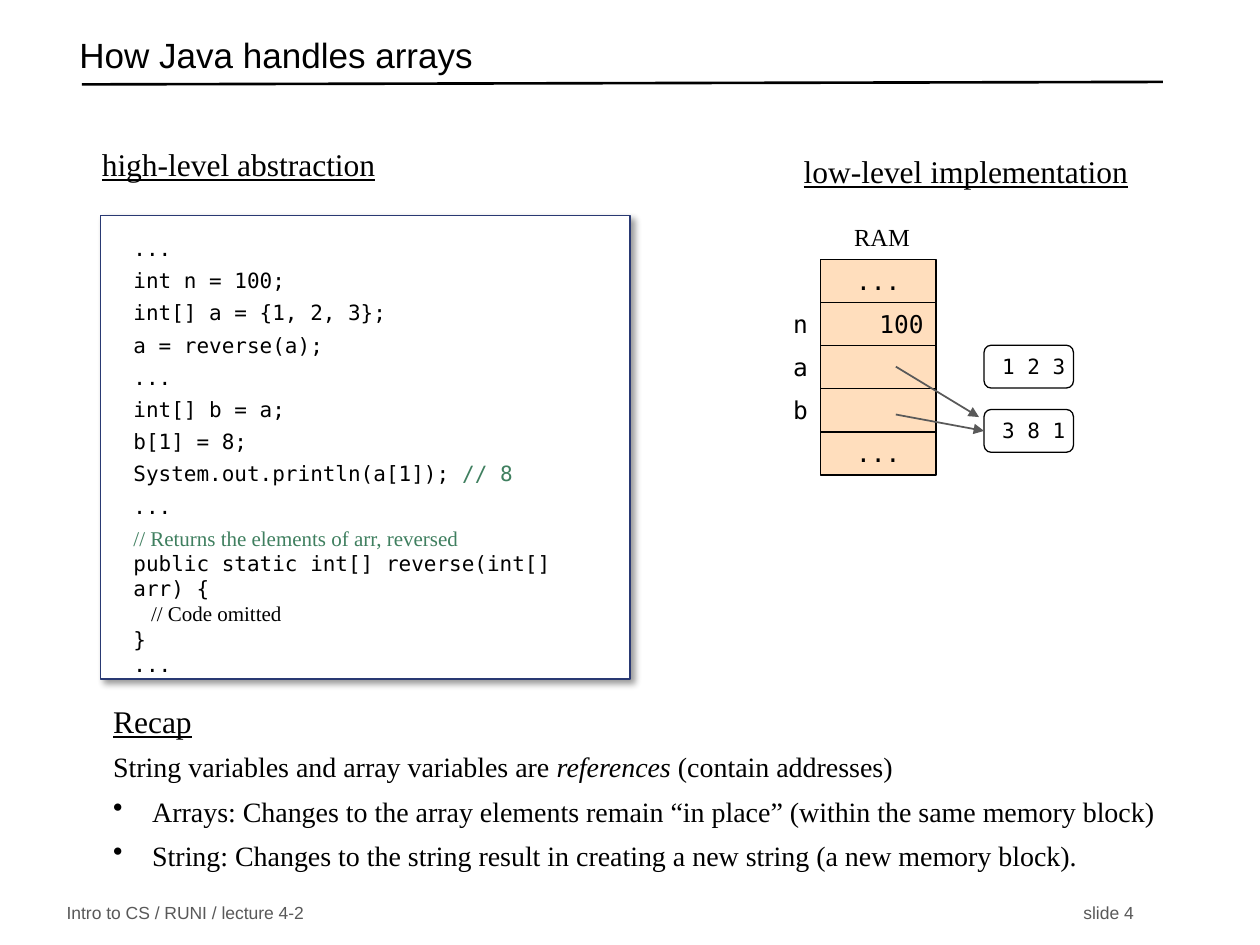
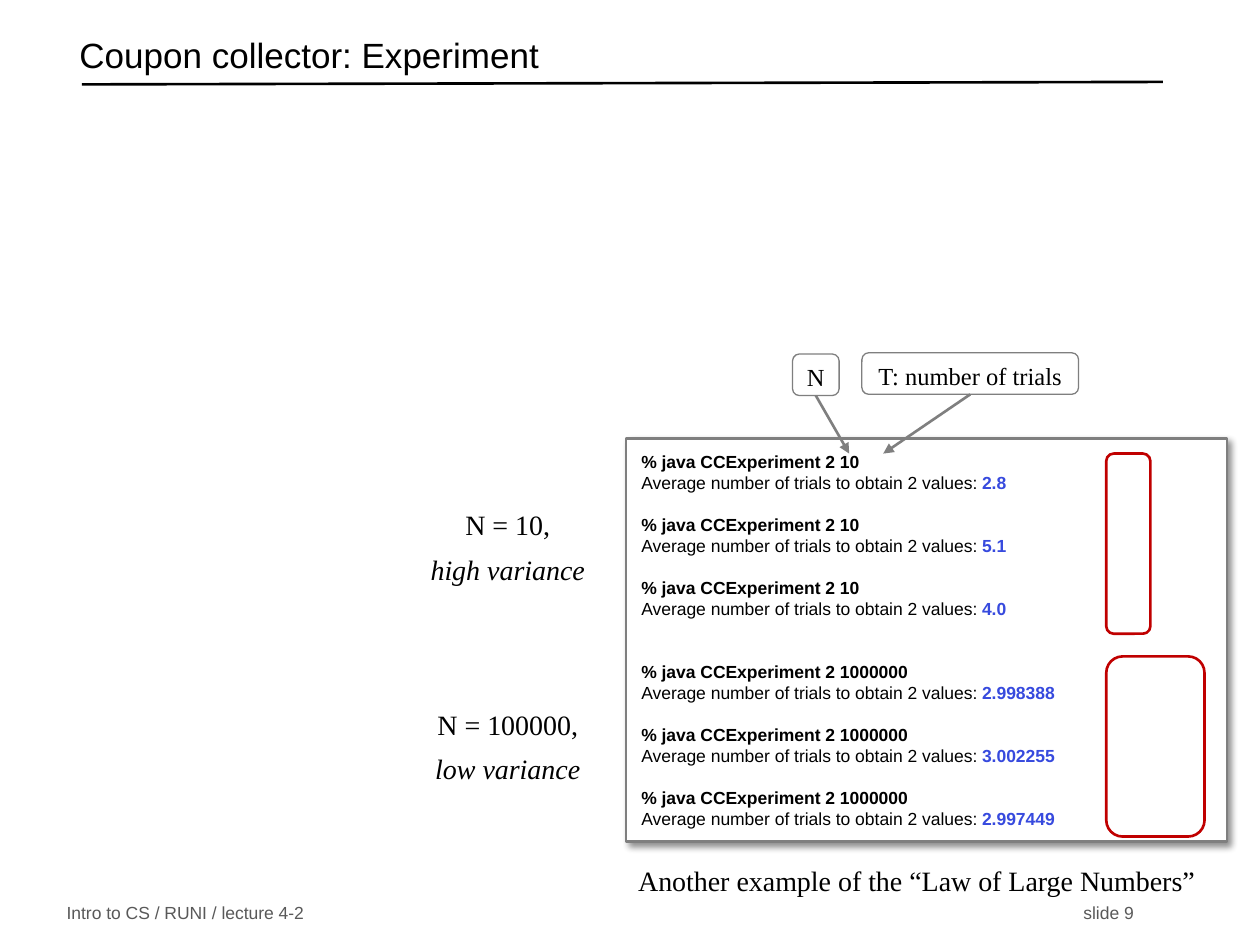
from dataclasses import dataclass, replace
from typing import Optional

from lxml.etree import SubElement
from pptx import Presentation
from pptx.dml.color import RGBColor
from pptx.enum.shapes import MSO_CONNECTOR, MSO_SHAPE
from pptx.enum.text import MSO_ANCHOR, MSO_AUTO_SIZE, PP_ALIGN
from pptx.oxml.ns import qn
from pptx.util import Inches, Pt

# Grid: 100 columns by 75 rows
SLIDE_WIDTH, SLIDE_HEIGHT = Inches(10), Inches(7.5)
COLUMN, ROW = SLIDE_WIDTH // 100, SLIDE_HEIGHT // 75

BLACK = RGBColor(0x00, 0x00, 0x00)
WHITE = RGBColor(0xFF, 0xFF, 0xFF)
DARK_GRAY = RGBColor(0x59, 0x59, 0x59)
MID_GRAY = RGBColor(0x7F, 0x7F, 0x7F)
PEACH = RGBColor(0xFF, 0xDE, 0xBD)
NAVY = RGBColor(0x29, 0x39, 0x73)
GREEN = RGBColor(0x3F, 0x7F, 0x5F)
BLUE = RGBColor(0x37, 0x4A, 0xDE)
RED = RGBColor(0xC0, 0x00, 0x00)

SANS, SERIF, MONO = "Arial", "Times New Roman", "DejaVu Sans Mono"
COURSE = "Intro to CS / RUNI / lecture 4-2"


@dataclass(frozen=True)
class Area:
    """A place on the grid, in columns and rows."""
    left: float
    top: float
    width: float
    height: float

    def lengths(self) -> tuple:
        return (round(self.left * COLUMN), round(self.top * ROW),
                round(self.width * COLUMN), round(self.height * ROW))


@dataclass(frozen=True)
class Style:
    font: str
    size: float
    color: RGBColor = BLACK
    bold: bool = False
    italic: bool = False
    underline: bool = False


@dataclass(frozen=True)
class Span:
    text: str
    style: Style


@dataclass(frozen=True)
class Para:
    spans: tuple
    before: float = 0
    align: PP_ALIGN = PP_ALIGN.LEFT
    bullet: bool = False


@dataclass(frozen=True)
class Look:
    fill: Optional[RGBColor]
    line: RGBColor
    weight: float = 0.75
    shadow_percent: int = 0


@dataclass(frozen=True)
class Frame:
    """Insets (left, top, right, bottom) in grid units, and the anchor."""
    insets: tuple = (1, 0.5, 1, 0.5)
    anchor: MSO_ANCHOR = MSO_ANCHOR.TOP


TITLE = Style(SANS, 20)
FOOTER = Style(SANS, 10, DARK_GRAY)
HEADING = Style(SERIF, 18, underline=True)
BODY = Style(SERIF, 16)
BODY_ITALIC = replace(BODY, italic=True)
LABEL = Style(SERIF, 14)
MEMORY = Style(MONO, 14)
CODE = Style(MONO, 12)
COMMENT = Style(SERIF, 12, GREEN)
OUTPUT = Style(SANS, 10)
COMMAND = replace(OUTPUT, bold=True)
RESULT = replace(COMMAND, color=BLUE)

PLAIN = Frame()
MIDDLE = Frame(anchor=MSO_ANCHOR.MIDDLE)
NARROW = Frame((0.8, 0.5, 0, 0.5))
REMARK = replace(NARROW, anchor=MSO_ANCHOR.MIDDLE)


def line_of(text: str, style: Style, before: float = 0,
            align: PP_ALIGN = PP_ALIGN.LEFT, bullet: bool = False) -> Para:
    return Para((Span(text, style),), before, align, bullet)


def centered(text: str, style: Style, before: float = 0) -> Para:
    return line_of(text, style, before, PP_ALIGN.CENTER)


def add_bullet(para) -> None:
    properties = para._p.get_or_add_pPr()
    properties.set("marL", str(Inches(0.31)))
    properties.set("indent", str(-Inches(0.31)))
    color = SubElement(properties, qn("a:buClr"))
    SubElement(color, qn("a:srgbClr"), val=str(BLACK))
    SubElement(properties, qn("a:buChar"), char="•")


def write(box, paras: list, frame: Frame = PLAIN) -> None:
    text = box.text_frame
    text.word_wrap = True
    text.auto_size = MSO_AUTO_SIZE.NONE
    text.vertical_anchor = frame.anchor
    left, top, right, bottom = frame.insets
    text.margin_left, text.margin_right = round(left * COLUMN), round(right * COLUMN)
    text.margin_top, text.margin_bottom = round(top * ROW), round(bottom * ROW)
    for index, item in enumerate(paras):
        para = text.add_paragraph() if index else text.paragraphs[0]
        if item.bullet:
            add_bullet(para)
        para.alignment = item.align
        para.space_before = Pt(item.before)
        for span in item.spans:
            run = para.add_run()
            run.text = span.text
            font, style = run.font, span.style
            font.name, font.size = style.font, Pt(style.size)
            font.color.rgb = style.color
            font.bold, font.italic = style.bold, style.italic
            font.underline = style.underline


def add_text(page, area: Area, paras: list, frame: Frame = PLAIN):
    box = page.shapes.add_textbox(*area.lengths())
    write(box, paras, frame)
    return box


def add_box(page, kind: MSO_SHAPE, area: Area, look: Look,
            paras: list = (), frame: Frame = PLAIN):
    box = page.shapes.add_shape(kind, *area.lengths())
    box.shadow.inherit = False
    if look.fill is None:
        box.fill.background()
    else:
        box.fill.solid()
        box.fill.fore_color.rgb = look.fill
    box.line.color.rgb = look.line
    box.line.width = Pt(look.weight)
    if look.shadow_percent:
        effects = box._element.spPr.find(qn("a:effectLst"))
        shadow = SubElement(effects, qn("a:outerShdw"), blurRad=str(Pt(4)),
                            dist=str(Pt(3)), dir="2700000", algn="tl", rotWithShape="0")
        color = SubElement(shadow, qn("a:srgbClr"), val=str(BLACK))
        SubElement(color, qn("a:alpha"), val=str(look.shadow_percent * 1000))
    if paras:
        write(box, paras, frame)
    return box


def add_line(page, start: tuple, end: tuple, color: RGBColor,
             weight: float, arrow: bool = True):
    connector = page.shapes.add_connector(
        MSO_CONNECTOR.STRAIGHT, round(start[0] * COLUMN), round(start[1] * ROW),
        round(end[0] * COLUMN), round(end[1] * ROW))
    connector.line.color.rgb = color
    connector.line.width = Pt(weight)
    if arrow:
        SubElement(connector.line._get_or_add_ln(), qn("a:tailEnd"), type="triangle")
    SubElement(connector._element.spPr, qn("a:effectLst"))
    return connector


def add_page(deck, title: str, number: int):
    """Title, rule and footer shared by every slide."""
    page = deck.slides.add_slide(deck.slide_layouts[5])
    heading = page.shapes.title
    heading.left, heading.top, heading.width, heading.height = Area(5.3, 2.2, 86, 5).lengths()
    write(heading, [line_of(title, TITLE)], MIDDLE)
    heading.text_frame.paragraphs[0].line_spacing = 0.7
    add_line(page, (6.5, 6.7), (92.3, 6.5), BLACK, 1.5, arrow=False)
    footer = add_text(page, Area(4.3, 71.4, 87.1, 2.1),
                      [line_of(f"{COURSE}\tslide {number}", FOOTER)], MIDDLE)
    tabs = SubElement(footer.text_frame.paragraphs[0]._p.get_or_add_pPr(), qn("a:tabLst"))
    SubElement(tabs, qn("a:tab"), pos=str(round(80.7 * COLUMN)), algn="l")
    return page


def build_arrays(deck) -> None:
    page = add_page(deck, "How Java handles arrays", 4)
    add_text(page, Area(7.1, 11, 25, 4), [line_of("high-level abstraction", HEADING)])
    add_text(page, Area(62.8, 11.6, 34.9, 4), [line_of("low-level implementation", HEADING)])
    add_text(page, Area(66.8, 17.1, 12.5, 4.2), [line_of("RAM", LABEL)])

    # Memory column with variable names
    memory_top, cell_height = 20.6, 3.42
    cells = [("", "...", PP_ALIGN.CENTER), ("n", "100", PP_ALIGN.RIGHT),
             ("a", "", PP_ALIGN.LEFT), ("b", "", PP_ALIGN.LEFT),
             ("", "...", PP_ALIGN.CENTER)]
    for row, (variable, value, align) in enumerate(cells):
        top = memory_top + row * cell_height
        paras = [line_of(value, MEMORY, align=align)] if value else []
        add_box(page, MSO_SHAPE.RECTANGLE, Area(65.1, top, 9.2, cell_height),
                Look(PEACH, BLACK), paras)
        if variable:
            add_text(page, Area(54.3, top, 10.8, 3.3),
                     [line_of(variable, MEMORY, align=PP_ALIGN.RIGHT)])

    # Array blocks and the references to the reversed one
    blocks = [add_box(page, MSO_SHAPE.ROUNDED_RECTANGLE, Area(78.1, top, 7.1, 3.4),
                      Look(WHITE, BLACK), [centered(values, CODE)], NARROW)
              for top, values in ((27.4, "1 2 3"), (32.5, "3 8 1"))]
    add_line(page, (71.1, 29.1), (77.7, 33.1), DARK_GRAY, 1)
    reference = add_line(page, (71.1, 32.9), (78.1, 34.2), DARK_GRAY, 1)
    reference.end_connect(blocks[1], 1)

    # Code listing
    statements = ["...", "int n = 100;", "int[] a = {1, 2, 3};", "a = reverse(a);",
                  "...", "int[] b = a;", "b[1] = 8;"]
    listing = [line_of(text, CODE, 4 if index else 0)
               for index, text in enumerate(statements)]
    listing += [
        Para((Span("System.out.println(a[1]); ", CODE),
              Span("// 8", replace(CODE, color=GREEN))), 4),
        line_of("...", CODE, 4),
        line_of("// Returns the elements of arr, reversed", COMMENT, 4),
        line_of("public static int[] reverse(int[] arr) {", CODE),
        Para((Span("   ", Style(SANS, 12)),
              Span("// Code omitted", replace(COMMENT, color=BLACK)))),
        line_of("}", CODE),
        line_of("...", CODE),
    ]
    add_box(page, MSO_SHAPE.RECTANGLE, Area(8, 17.1, 42, 36.8),
            Look(WHITE, NAVY, shadow_percent=40), listing, Frame((2.6, 1.6, 1.8, 1.9)))

    # Recap
    add_text(page, Area(8, 55.2, 90.4, 16.3), [
        line_of("Recap", HEADING),
        Para((Span("String variables and array variables are ", BODY),
              Span("references ", BODY_ITALIC),
              Span("(contain addresses)", BODY)), 6),
        line_of("Arrays: Changes to the array elements remain “in place” "
                "(within the same memory block)", BODY, 6, bullet=True),
        line_of("String: Changes to the string result in creating a new string "
                "(a new memory block).", BODY, 6, bullet=True),
    ])


def build_experiment(deck) -> None:
    page = add_page(deck, "Coupon collector: Experiment", 9)

    # Console: one blank line between runs, two between the groups
    groups = [("10", ("2.8", "5.1", "4.0")),
              ("1000000", ("2.998388", "3.002255", "2.997449"))]
    console = []
    for trials, averages in groups:
        for index, average in enumerate(averages):
            gap = 0 if not console else 12 if index else 24
            console += [
                line_of(f"% java CCExperiment 2 {trials}", COMMAND, gap),
                Para((Span("Average number of trials to obtain 2 values: ", OUTPUT),
                      Span(average, RESULT))),
            ]
    add_box(page, MSO_SHAPE.RECTANGLE, Area(49.7, 34.8, 47.7, 32),
            Look(WHITE, MID_GRAY, 1.25, 43), console, Frame((1.2, 1, 0, 0)))

    # Argument labels pointing at the first command
    arguments = [("N", Area(62.9, 28.1, 3.7, 3.3), (67.4, 36)),
                 ("T: number of trials", Area(68.4, 28, 17.2, 3.3), (70.1, 36))]
    for text, area, target in arguments:
        label = add_box(page, MSO_SHAPE.ROUNDED_RECTANGLE, area,
                        Look(WHITE, MID_GRAY), [centered(text, LABEL)])
        start = (area.left + area.width / 2, area.top + area.height)
        arrow = add_line(page, start, target, MID_GRAY, 1.5)
        arrow.begin_connect(label, 2)

    # Remarks and result frames
    add_text(page, Area(49.4, 68, 45.9, 3.7),
             [centered("Another example of the “Law of Large Numbers”", BODY)], REMARK)
    for top, size, variance in ((39.4, "N = 10,", "high variance"),
                                (55.2, "N = 100000,", "low variance")):
        add_text(page, Area(32.7, top, 14.4, 8),
                 [centered(size, BODY), centered(variance, BODY_ITALIC, 6)], REMARK)
    for top, width in ((36, 3.5), (52.1, 7.8)):
        add_box(page, MSO_SHAPE.ROUNDED_RECTANGLE, Area(87.8, top, width, 14.3),
                Look(None, RED, 1.5))


def main() -> None:
    deck = Presentation()
    deck.slide_width, deck.slide_height = SLIDE_WIDTH, SLIDE_HEIGHT
    build_arrays(deck)
    build_experiment(deck)
    deck.save("out.pptx")


if __name__ == "__main__":
    main()
